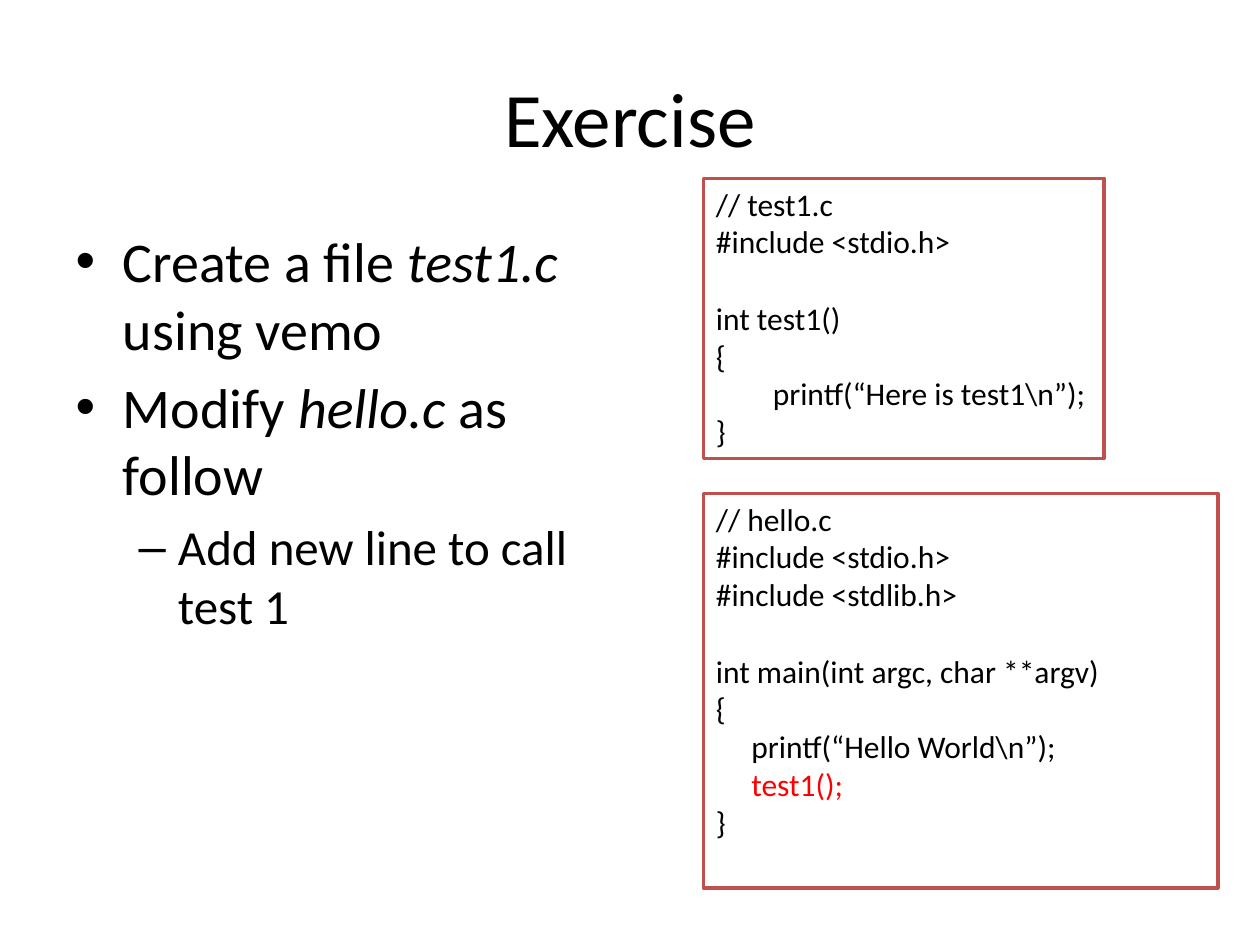
import dataclasses

import pptx
import pptx.dml.color
import pptx.enum.shapes
import pptx.enum.text
import pptx.util


@dataclasses.dataclass
class Theme:
    font: str = "Calibri"
    ink: str = "000000"
    paper: str = "FFFFFF"
    edge: str = "C0504D"
    mark: str = "FF0000"
    title: int = 44
    body: int = 32
    sub: int = 28
    code: int = 18
    line: int = 22


def tint(text):
    return pptx.dml.color.RGBColor.from_string(text)


def write(para, text, font, size, color, slant=None):
    run = para.add_run()
    run.text = text
    run.font.name = font
    run.font.size = pptx.util.Pt(size)
    run.font.color.rgb = tint(color)
    run.font.italic = slant


class Deck:
    def __init__(self, theme):
        self.theme = theme
        self.show = pptx.Presentation()
        self.show.slide_width = pptx.util.Pt(720)
        self.show.slide_height = pptx.util.Pt(540)
        self.slide = self.show.slides.add_slide(self.show.slide_layouts[1])

    def place(self, shape, box):
        shape.left, shape.top, shape.width, shape.height = map(pptx.util.Pt, box)

    def paras(self, frame, items):
        for spot, item in enumerate(items):
            yield (frame.add_paragraph() if spot else frame.paragraphs[0]), item

    def title(self, text, box):
        shape = self.slide.shapes.title
        self.place(shape, box)
        para = shape.text_frame.paragraphs[0]
        para.alignment = pptx.enum.text.PP_ALIGN.CENTER
        write(para, text, self.theme.font, self.theme.title, self.theme.ink)

    def list(self, items, box):
        shape = self.slide.placeholders[1]
        self.place(shape, box)
        for para, (level, parts) in self.paras(shape.text_frame, items):
            para.level = level
            size = self.theme.sub if level else self.theme.body
            for text, slant in parts:
                write(para, text, self.theme.font, size, self.theme.ink, slant=slant)

    def code(self, rows, box, wrap=True):
        kind = pptx.enum.shapes.MSO_SHAPE.RECTANGLE
        shape = self.slide.shapes.add_shape(kind, *map(pptx.util.Pt, box))
        shape.shadow.inherit = False
        shape.fill.solid()
        shape.fill.fore_color.rgb = tint(self.theme.paper)
        shape.line.color.rgb = tint(self.theme.edge)
        shape.line.width = pptx.util.Pt(2)
        frame = shape.text_frame
        frame.word_wrap = wrap
        frame.vertical_anchor = pptx.enum.text.MSO_ANCHOR.TOP
        for para, (text, form) in self.paras(frame, rows):
            para.alignment = pptx.enum.text.PP_ALIGN.LEFT
            if form.get("gap"):
                para.space_before = pptx.util.Pt(self.theme.line)
            dent = pptx.util.Pt(form.get("dent", 0))
            para._p.get_or_add_pPr().set("marL", str(dent))
            color = form.get("color", self.theme.ink)
            write(para, text, self.theme.font, self.theme.code, color)

    def save(self):
        self.show.save("out.pptx")


def main():
    theme = Theme()
    deck = Deck(theme)
    deck.title("Exercise", (36, 21.6, 648, 90))
    deck.list(
        [
            (0, [("Create a file ", None), ("test1.c", True), (" using vemo", None)]),
            (0, [("Modify ", None), ("hello.c", True), (" as follow", None)]),
            (1, [("Add new line to call test 1", None)]),
        ],
        (36, 126, 306, 356.4),
    )
    deck.code(
        [
            ("// test1.c", {}),
            ("#include <stdio.h>", {}),
            ("int test1()", {"gap": True}),
            ("{", {}),
            (r"printf(“Here is test1\n”);", {"dent": 32.5}),
            ("}", {}),
        ],
        (402, 102, 229, 160),
        wrap=False,
    )
    deck.code(
        [
            ("// hello.c", {}),
            ("#include <stdio.h>", {}),
            ("#include <stdlib.h>", {}),
            ("int main(int argc, char **argv)", {"gap": True}),
            ("{", {}),
            (r"printf(“Hello World\n”);", {"dent": 20.3}),
            ("test1();", {"dent": 20.3, "color": theme.mark}),
            ("}", {}),
        ],
        (402, 282, 294, 225.4),
    )
    deck.save()


if __name__ == "__main__":
    main()
